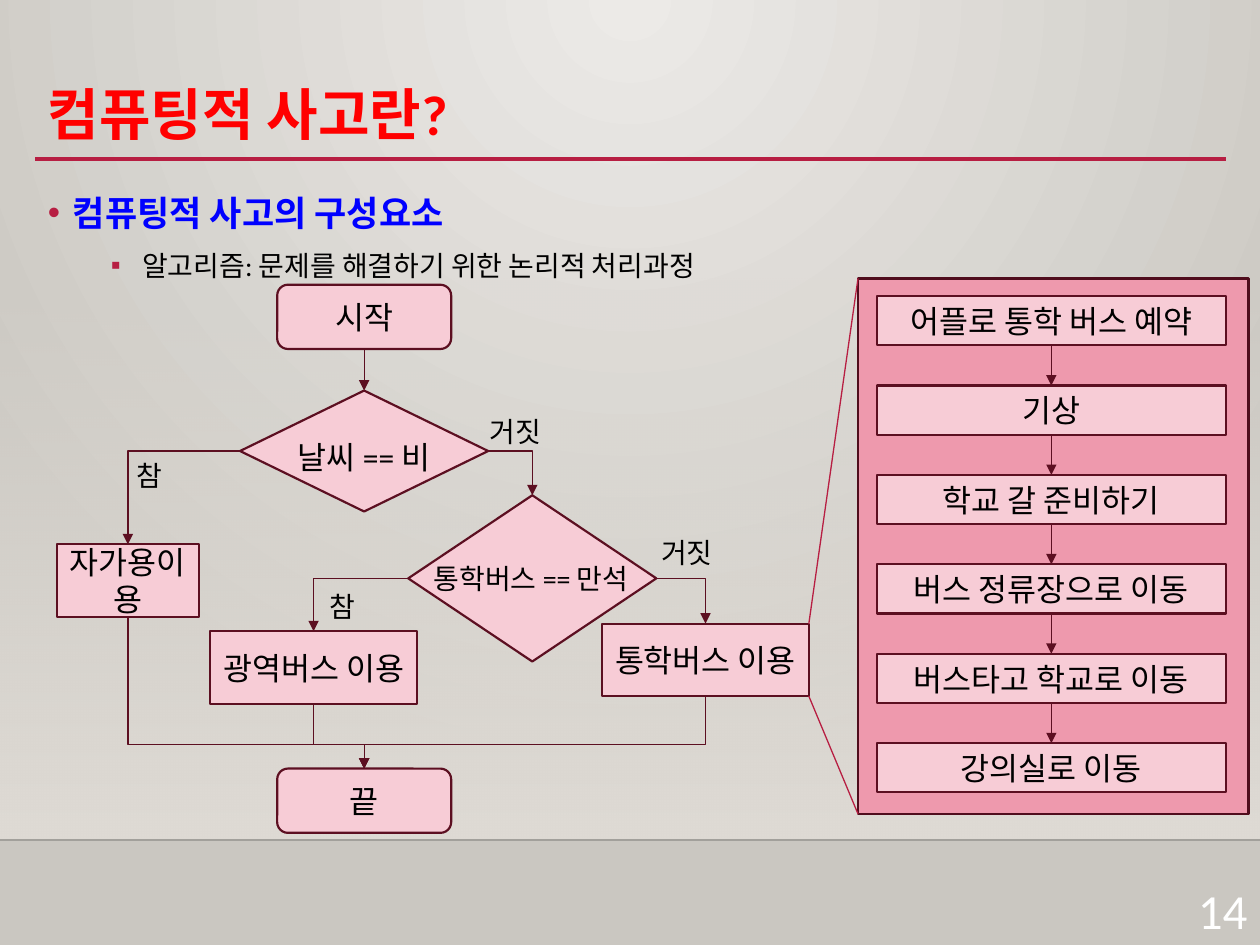
from lxml import etree
from pptx import Presentation
from pptx.dml.color import RGBColor
from pptx.enum import shapes, text
from pptx.oxml.ns import qn
from pptx.util import Pt

FONT = "Calibri"
BLACK = RGBColor(0x00, 0x00, 0x00)
WHITE = RGBColor(0xFF, 0xFF, 0xFF)
RED = RGBColor(0xFF, 0x00, 0x00)
BLUE = RGBColor(0x00, 0x00, 0xFF)
CRIMSON = RGBColor(0xB7, 0x1E, 0x42)
MAROON = RGBColor(0x5C, 0x0F, 0x21)
DARK_MAROON = RGBColor(0x50, 0x0D, 0x1D)
PINK = RGBColor(0xF7, 0xCC, 0xD6)
ROSE = RGBColor(0xEE, 0x99, 0xAD)
LIGHT = RGBColor(0xEC, 0xEA, 0xE7)
SHADE = RGBColor(0xCA, 0xC7, 0xC1)
SAND = RGBColor(0xDF, 0xDB, 0xD5)
GREY = RGBColor(0xA2, 0xA0, 0x9B)

RECT = shapes.MSO_SHAPE.RECTANGLE
ROUNDED = shapes.MSO_SHAPE.ROUNDED_RECTANGLE
DECISION = shapes.MSO_SHAPE.FLOWCHART_DECISION
TOP, LEFT, BOTTOM, RIGHT = range(4)
START, CENTER, END = text.PP_ALIGN.LEFT, text.PP_ALIGN.CENTER, text.PP_ALIGN.RIGHT
MIDDLE = text.MSO_ANCHOR.MIDDLE


def add_child(parent, tag, **attributes):
    return etree.SubElement(parent, qn(tag), attributes)


def write(paragraph, words, size=18, color=BLACK, bold=False, align=CENTER):
    paragraph.alignment = align
    run = paragraph.add_run()
    run.text = words
    run.font.name, run.font.size, run.font.bold = FONT, Pt(size), bold
    run.font.color.rgb = color


def add_text(slide, words, x, y, width, height, wrap=True,
             anchor=text.MSO_ANCHOR.TOP, **style):
    box = slide.shapes.add_textbox(Pt(x), Pt(y), Pt(width), Pt(height))
    frame = box.text_frame
    frame.word_wrap, frame.vertical_anchor = wrap, anchor
    write(frame.paragraphs[0], words, **style)
    return frame


def add_box(slide, kind, x, y, width, height, words="", fill=PINK, line=MAROON):
    shape = slide.shapes.add_shape(kind, Pt(x), Pt(y), Pt(width), Pt(height))
    shape.shadow.inherit = False
    shape.fill.solid()
    shape.fill.fore_color.rgb = fill
    shape.line.color.rgb = line
    shape.line.width = Pt(1.25)
    if words:
        shape.text_frame.word_wrap = True
        shape.text_frame.vertical_anchor = MIDDLE
        write(shape.text_frame.paragraphs[0], words)
    return shape


def style_line(connector, color, width, arrow=False):
    connector.line.color.rgb = color
    connector.line.width = Pt(width)
    properties = connector._element.spPr
    if arrow:
        add_child(properties.find(qn("a:ln")), "a:tailEnd", type="triangle")
    add_child(properties, "a:effectLst")


def add_line(slide, x1, y1, x2, y2, color=CRIMSON, width=0.75):
    line = slide.shapes.add_connector(
        shapes.MSO_CONNECTOR.STRAIGHT, Pt(x1), Pt(y1), Pt(x2), Pt(y2))
    style_line(line, color, width)


def add_arrow(slide, source, source_side, target, target_side,
              kind=shapes.MSO_CONNECTOR.STRAIGHT):
    arrow = slide.shapes.add_connector(kind, 0, 0, 0, 0)
    arrow.begin_connect(source, source_side)
    arrow.end_connect(target, target_side)
    style_line(arrow, MAROON, 0.75, arrow=True)
    return arrow


def add_branch(slide, source, side, target):
    """Arrow that leaves sideways and turns down once."""
    arrow = add_arrow(slide, source, side, target, TOP, shapes.MSO_CONNECTOR.ELBOW)
    arrow._element.spPr.find(qn("a:prstGeom")).set("prst", "bentConnector2")


def add_merge(slide, source, target, turn_y):
    """Arrow that goes down, runs level at turn_y, then goes down again."""
    arrow = add_arrow(slide, source, BOTTOM, target, TOP, shapes.MSO_CONNECTOR.ELBOW)
    x1, y1, x2, y2 = arrow.begin_x, arrow.begin_y, arrow.end_x, arrow.end_y
    run, drop = abs(x2 - x1), y2 - y1
    arrow.left, arrow.top = (x1 + x2 - drop) // 2, (y1 + y2 - run) // 2
    arrow.width, arrow.height = drop, run
    properties = arrow._element.spPr
    frame = properties.find(qn("a:xfrm"))
    frame.set("rot", "5400000")
    frame.set("flipH", "0")
    frame.set("flipV", "1" if x2 > x1 else "0")
    geometry = properties.find(qn("a:prstGeom"))
    for old in geometry.findall(qn("a:avLst")):
        geometry.remove(old)
    turn = round((Pt(turn_y) - y1) / drop * 100000)
    add_child(add_child(geometry, "a:avLst"), "a:gd", name="adj1", fmla=f"val {turn}")


def set_stops(fill, *colors):
    fill.gradient()
    for stop, color, position in zip(fill.gradient_stops, colors, (0, 1)):
        stop.color.rgb, stop.position = color, position


def draw_backdrop(slide, width, height):
    # Radial background
    set_stops(slide.background.fill, LIGHT, SHADE)
    gradient = next(slide._element.iter(qn("a:gradFill")))
    gradient.remove(gradient.find(qn("a:lin")))
    glow = add_child(gradient, "a:path", path="circle")
    add_child(glow, "a:fillToRect", l="43000", t="0", r="43000", b="100000")
    # Floor fading in from the top
    floor = add_box(slide, RECT, 0, 158.4, width, 321)
    floor.line.fill.background()
    set_stops(floor.fill, SAND, SAND)
    floor.fill.gradient_angle = 270
    add_child(next(floor._element.spPr.iter(qn("a:srgbClr"))), "a:alpha", val="0")
    add_line(slide, 0, 480, width, 480, GREY, 1)
    # Page number
    add_text(slide, "14", width - 62.6, height - 39.6, 62.6, 39.6,
             size=28, color=WHITE, align=END, anchor=MIDDLE)


def add_bullet(paragraph, symbol, margin, hanging, before):
    paragraph.line_spacing, paragraph.space_before = 1.2, Pt(before)
    properties = paragraph._p.get_or_add_pPr()
    properties.set("marL", str(Pt(margin)))
    properties.set("indent", str(-Pt(hanging)))
    add_child(add_child(properties, "a:buClr"), "a:srgbClr", val=str(CRIMSON))
    add_child(properties, "a:buFont", typeface="Arial")
    add_child(properties, "a:buChar", char=symbol)


def draw_heading(slide, x, y, width):
    title = add_text(slide, "컴퓨팅적 사고란?", x, y, width, 82.8, size=32, color=RED,
                     bold=True, align=START, anchor=text.MSO_ANCHOR.BOTTOM)
    title.margin_bottom = Pt(6.5)
    title.paragraphs[0].line_spacing = 0.9
    add_line(slide, x, y + 82.8, x + width, y + 82.8, width=2.5)
    body = add_text(slide, "컴퓨팅적 사고의 구성요소", x, y + 92.9, width, 375.8,
                    size=20, color=BLUE, bold=True, align=START)
    add_bullet(body.paragraphs[0], "•", 14.4, 14.4, 10)
    detail = body.add_paragraph()
    detail.level = 1
    write(detail, "알고리즘: 문제를 해결하기 위한 논리적 처리과정", size=16, align=START)
    add_bullet(detail, "▪", 54, 18, 5)


def draw_flowchart(slide, x, y):
    # Nodes
    start = add_box(slide, ROUNDED, x + 126, y, 99.4, 36.7, "시작")
    finish = add_box(slide, ROUNDED, x + 126, y + 276.5, 99.4, 36.7, "끝")
    weather = add_box(slide, DECISION, x + 104.8, y + 60.5, 141.8, 69.1)
    full = add_box(slide, DECISION, x + 200.9, y + 120.3, 141.8, 95)
    car = add_box(slide, RECT, x, y + 148.3, 81.4, 41.4, "자가용이용")
    shuttle = add_box(slide, RECT, x + 311.7, y + 193.7, 118.1, 41.4, "통학버스 이용")
    express = add_box(slide, RECT, x + 87.8, y + 198, 118, 41.4, "광역버스 이용")
    # Conditions
    add_text(slide, "날씨 == 비", x + 110.9, y + 84.3, 129.6, 21)
    add_text(slide, "통학버스 == 만석", x + 183.6, y + 154.8, 175, 26.6, size=16)
    # Arrows
    add_arrow(slide, start, BOTTOM, weather, TOP)
    for source, side, target in ((weather, RIGHT, full), (full, RIGHT, shuttle),
                                 (full, LEFT, express), (weather, LEFT, car)):
        add_branch(slide, source, side, target)
    for source in (car, express, shuttle):
        add_merge(slide, source, finish, y + 262.6)
    # Branch labels
    for left, top in ((37.4, 95.8), (147.6, 170.7)):
        add_text(slide, "참", x + left, y + top, 31, 26.6, wrap=False, size=16)
    for left, top in ((240.5, 70.6), (338.4, 139.7)):
        add_text(slide, "거짓", x + left, y + top, 46.8, 26.6, wrap=False,
                 size=16, align=START)
    return shuttle


def draw_steps(slide, x, y, width, height, shuttle):
    add_box(slide, RECT, x, y, width, height, fill=ROSE, line=DARK_MAROON)
    steps = ("어플로 통학 버스 예약", "기상", "학교 갈 준비하기",
             "버스 정류장으로 이동", "버스타고 학교로 이동", "강의실로 이동")
    previous = None
    for index, words in enumerate(steps):
        step = add_box(slide, RECT, x + 10.8, y + 10.1 + 51.1 * index, 199.4, 28.1, words)
        if previous:
            add_arrow(slide, previous, BOTTOM, step, TOP)
        previous = step
    # Zoom lines from the shuttle node
    right = (shuttle.left + shuttle.width).pt if hasattr(shuttle.left + shuttle.width, "pt") \
        else shuttle.left.pt + shuttle.width.pt
    add_line(slide, x, y, right, shuttle.top.pt)
    add_line(slide, x, y + height, right, shuttle.top.pt + shuttle.height.pt)


def main():
    presentation = Presentation()
    presentation.slide_width, presentation.slide_height = Pt(720), Pt(540)
    slide = presentation.slides.add_slide(presentation.slide_layouts[6])
    draw_backdrop(slide, 720, 540)
    draw_heading(slide, 20.2, 7.9, 680.4)
    shuttle = draw_flowchart(slide, 32.4, 162.7)
    draw_steps(slide, 490.3, 159.1, 223.2, 306, shuttle)
    presentation.save("out.pptx")


if __name__ == "__main__":
    main()
